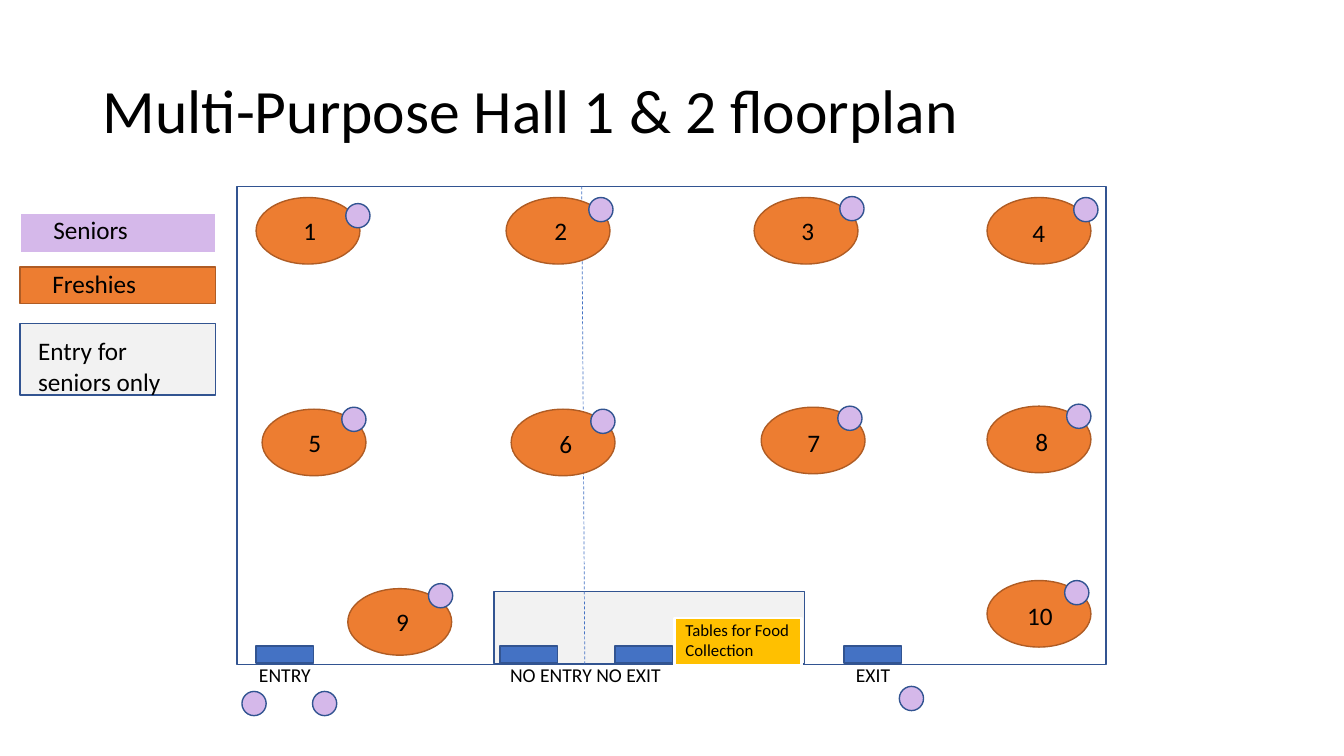
from lxml import etree
from pptx import Presentation
from pptx.dml.color import RGBColor
from pptx.enum import dml, shapes, text
from pptx.oxml import ns
from pptx.util import Inches, Pt

LILAC, ORANGE, GREY, BLUE, GOLD = "D5B8EA", "ED7D31", "F2F2F2", "4472C4", "FFC000"
NAVY, BROWN, WHITE, BLACK = "325491", "AF5C24", "FFFFFF", "000000"
FONT = "Calibri"

TITLE = "Multi-Purpose Hall 1 & 2 floorplan"
TITLE_BOX = (0.92, 0.4, 11.5, 1.45)

# box, fill, line colour, line width
LEGEND_BOXES = [
    ((0.2, 2.11, 1.94, 0.4), LILAC, WHITE, 1.5),
    ((0.2, 2.65, 1.94, 0.36), ORANGE, BROWN, 1),
    ((0.2, 3.21, 1.94, 0.71), GREY, NAVY, 1),
]
SENIORS_ENTRY = (4.9, 5.87, 3.08, 0.71)
HALL = (2.35, 1.85, 8.62, 4.74)
DIVIDER = (5.77, 5.8)  # x at the top and bottom walls
FOOD_TABLE = (6.69, 6.13, 1.26, 0.47)

DOOR_LEFTS = [2.54, 4.96, 6.1, 8.37]
DOOR_TOP, DOOR_SIZE = 6.41, (0.57, 0.17)

GROUP_SIZE, NUMBER_SIZE, SENIOR_SIZE = (1.03, 0.66), (0.64, 0.4), (0.24, 0.24)
# freshies group, its number and its senior: left and top of each
GROUPS = [
    ((2.54, 1.96), (2.91, 2.09), (3.43, 2.02)),
    ((5.02, 1.96), (5.4, 2.09), (5.84, 1.96)),
    ((7.48, 1.96), (7.85, 2.09), (8.33, 1.95)),
    ((9.79, 1.96), (10.14, 2.11), (10.65, 1.96)),
    ((2.6, 4.06), (2.96, 4.19), (3.39, 4.04)),
    ((5.07, 4.06), (5.45, 4.2), (5.86, 4.06)),
    ((7.55, 4.04), (7.91, 4.19), (8.31, 4.03)),
    ((9.79, 4.03), (10.17, 4.18), (10.58, 4.01)),
    ((3.45, 5.84), (3.83, 5.97), (4.25, 5.79)),
    ((9.79, 5.76), (10.09, 5.91), (10.56, 5.76)),
]
DOOR_SENIORS = [(2.4, 6.86), (3.1, 6.86), (8.92, 6.81)]

# wording, box, text size
LABELS = [
    ("Tables for Food Collection", (6.7, 6.1, 1.28, 0.5), 12),
    ("ENTRY", (2.47, 6.53, 0.81, 0.34), 14),
    ("NO ENTRY NO EXIT", (4.96, 6.53, 2.28, 0.34), 14),
    ("EXIT", (8.39, 6.53, 0.57, 0.57), 14),
    ("Seniors", (0.43, 2.08, 1.19, 0.4), 18),
    ("Freshies", (0.42, 2.61, 1.22, 0.4), 18),
    ("Entry for seniors only", (0.28, 3.28, 1.53, 0.71), 18),
]


def color(hex_value):
    return RGBColor.from_string(hex_value)


def inches(values):
    return [Inches(value) for value in values]


def format_line(line, line_color, width):
    line.color.rgb = color(line_color)
    line.width = Pt(width)


def add_shape(slide, kind, box, fill, line_color=NAVY, width=1):
    """Add a flat preset shape; a fill of None leaves it open."""
    shape = slide.shapes.add_shape(kind, *inches(box))
    shape.shadow.inherit = False
    if fill is None:
        shape.fill.background()
    else:
        shape.fill.solid()
        shape.fill.fore_color.rgb = color(fill)
    format_line(shape.line, line_color, width)


def add_rectangle(slide, *details):
    add_shape(slide, shapes.MSO_SHAPE.RECTANGLE, *details)


def add_oval(slide, *details):
    add_shape(slide, shapes.MSO_SHAPE.OVAL, *details)


def add_text(slide, wording, box, size, anchor=text.MSO_ANCHOR.TOP, spacing=1.0):
    frame = slide.shapes.add_textbox(*inches(box)).text_frame
    for name, value in {"word_wrap": True, "vertical_anchor": anchor}.items():
        setattr(frame, name, value)
    paragraph = frame.paragraphs[0]
    paragraph.line_spacing = spacing
    run = paragraph.add_run()
    run.text = wording
    for name, value in {"name": FONT, "size": Pt(size)}.items():
        setattr(run.font, name, value)
    run.font.color.rgb = color(BLACK)


def add_divider(slide):
    """Draw the dashed line between the two halls."""
    top, bottom = HALL[1], HALL[1] + HALL[3]
    divider = slide.shapes.add_connector(
        shapes.MSO_CONNECTOR.STRAIGHT, *inches((DIVIDER[0], top, DIVIDER[1], bottom)))
    format_line(divider.line, BLUE, 0.5)
    divider.line.dash_style = dml.MSO_LINE.DASH
    etree.SubElement(divider._element.spPr, ns.qn("a:effectLst"))


def main():
    presentation = Presentation()
    presentation.slide_width = Inches(13.33)
    presentation.slide_height = Inches(7.5)
    slide = presentation.slides.add_slide(presentation.slide_layouts[6])

    for legend_box in LEGEND_BOXES:
        add_rectangle(slide, *legend_box)
    add_rectangle(slide, SENIORS_ENTRY, GREY)
    add_text(slide, TITLE, TITLE_BOX, 44, text.MSO_ANCHOR.MIDDLE, 0.9)
    add_rectangle(slide, HALL, None)
    add_divider(slide)
    for left in DOOR_LEFTS:
        add_rectangle(slide, (left, DOOR_TOP, *DOOR_SIZE), BLUE)
    add_rectangle(slide, FOOD_TABLE, GOLD, WHITE, 1.5)

    for number, (group, number_place, senior) in enumerate(GROUPS, 1):
        add_oval(slide, group + GROUP_SIZE, ORANGE, BROWN)
        add_text(slide, str(number), number_place + NUMBER_SIZE, 18)
        add_oval(slide, senior + SENIOR_SIZE, LILAC)
    for senior in DOOR_SENIORS:
        add_oval(slide, senior + SENIOR_SIZE, LILAC)
    for label in LABELS:
        add_text(slide, *label)

    presentation.save("out.pptx")


if __name__ == "__main__":
    main()
